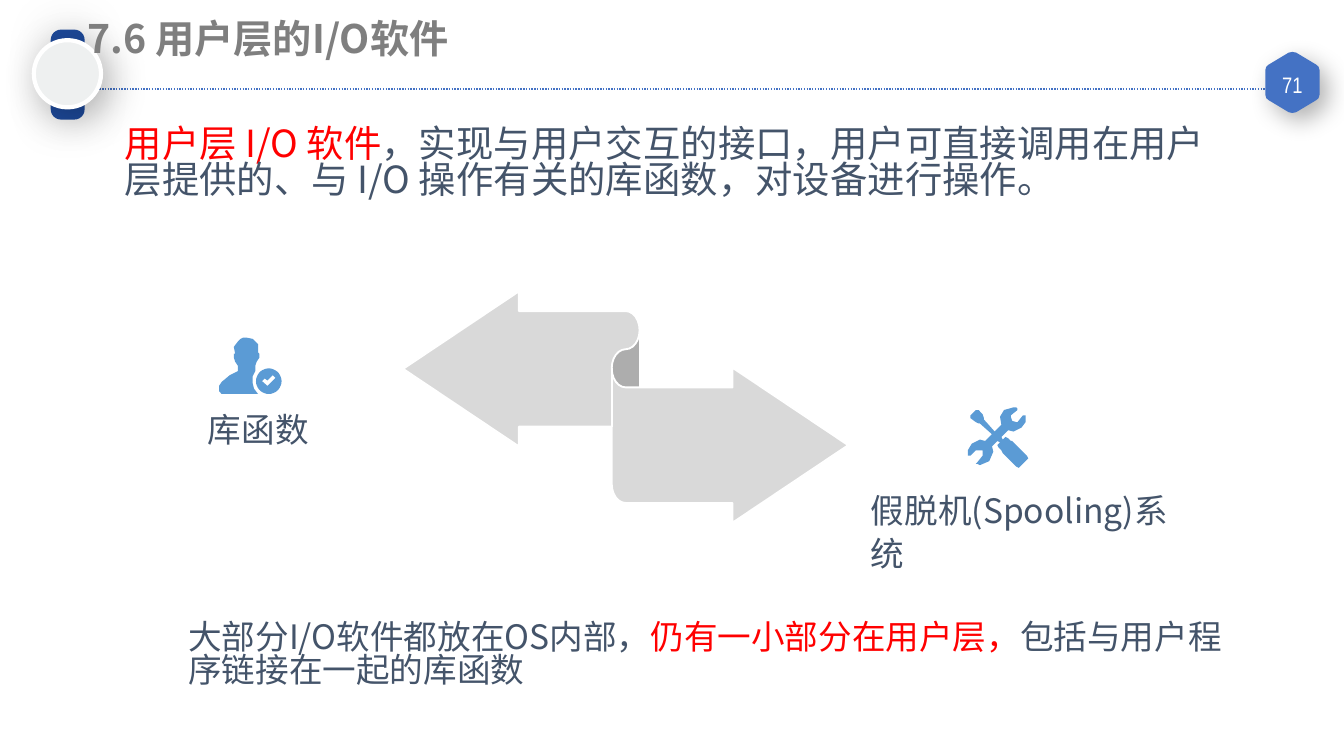
from math import cos, pi, sin

from lxml.etree import SubElement
from pptx import Presentation
from pptx.dml.color import RGBColor
from pptx.enum.dml import MSO_LINE
from pptx.enum.shapes import MSO_CONNECTOR, MSO_SHAPE
from pptx.enum.text import MSO_ANCHOR, MSO_AUTO_SIZE, PP_ALIGN
from pptx.oxml.ns import qn
from pptx.util import Cm, Pt

WHITE = RGBColor(0xFF, 0xFF, 0xFF)
BLUE = RGBColor(0x44, 0x72, 0xC4)
NAVY = RGBColor(0x1D, 0x49, 0x99)
SKY = RGBColor(0x5B, 0x9B, 0xD5)
SLATE = RGBColor(0x44, 0x54, 0x6A)
RED = RGBColor(0xFF, 0x00, 0x00)
GRAY = RGBColor(0x7F, 0x7F, 0x7F)
SILVER = RGBColor(0xD9, 0xD9, 0xD9)
PALE = RGBColor(0xEE, 0xF0, 0xF0)

BADGE = [(0, 13), (0.7, 10.7), (2, 9.5), (17, 0.5), (19.5, 0), (22, 0.5),
         (37, 9.5), (38.3, 10.7), (39, 13), (39, 31), (38.3, 33.3),
         (37, 34.5), (22, 43.5), (19.5, 44), (17, 43.5), (2, 34.5),
         (0.7, 33.3), (0, 31)]
PERSON = [(18, 0), (20, 0), (25, 1), (27, 3), (29, 5), (29, 11), (30, 12),
          (30, 15), (28, 18), (27, 21), (27, 25), (25, 29), (25, 34),
          (26, 38), (29, 42), (2, 42), (0, 40), (0, 36), (2, 33), (8, 28),
          (14, 25), (14, 21), (12, 18), (11, 15), (11, 12), (12, 12),
          (11, 7), (14, 3), (16, 1)]
DISC = [(37 + 9.5 * cos(i * pi / 18), 32.5 + 9.5 * sin(i * pi / 18))
        for i in range(36)]
TICK = [(40, 28), (36, 32), (34, 30.5), (32, 32.5), (36, 36), (42, 30)]
TOOLS = [(44, 36), (34, 26), (33, 25), (32, 25), (30, 23), (28, 22), (27, 23),
         (26, 24), (25, 22), (30, 17), (34, 18), (40, 15), (43, 11), (43, 6),
         (42, 6), (41, 6), (37, 11), (36, 11), (33, 10), (32, 7), (32, 6),
         (37, 2), (37, 1), (36, 0), (34, 0), (27, 2), (24, 7), (25, 13),
         (20, 18), (12, 9), (12, 8), (11, 5), (8, 2), (7, 2), (6, 2), (2, 6),
         (2, 8), (6, 11), (8, 12), (9, 12), (18, 20), (14, 24), (13, 25),
         (9, 24), (3, 27), (0, 32), (0, 36), (2, 36), (6, 32), (7, 32),
         (11, 32), (11, 36), (7, 41), (6, 42), (7, 42), (9, 43), (16, 40),
         (19, 33), (18, 29), (22, 25), (24, 26), (22, 28), (23, 30),
         (25, 32), (26, 34), (36, 44), (38, 45), (39, 44), (44, 39), (45, 38)]


class SlideBuilder:
    """Holds the text style and the current slide, and draws its elements."""

    font = "Noto Sans CJK SC"
    unit = Cm(2.54) / 1000

    def __init__(self, prs):
        self.s = prs.slides.add_slide(prs.slide_layouts[5])

    def paint(self, sp, fill, line=None, width=1, shadow=None):
        sp.fill.solid()
        sp.fill.fore_color.rgb = fill
        if line is None:
            sp.line.fill.background()
        else:
            sp.line.color.rgb = line
            sp.line.width = Pt(width)
        sp.shadow.inherit = False
        if shadow:
            alpha, blur, dist, angle = shadow
            effects = sp._element.spPr.find(qn("a:effectLst"))
            outer = SubElement(effects, qn("a:outerShdw"), blurRad=str(Pt(blur)),
                               dist=str(Pt(dist)), dir=str(angle * 60000))
            color = SubElement(outer, qn("a:srgbClr"), val="000000")
            SubElement(color, qn("a:alpha"), val=str(alpha * 1000))
        return sp

    def shape(self, kind, box, fill, adj=(), rotation=0, **style):
        sp = self.s.shapes.add_shape(kind, *map(Cm, box))
        for i, value in enumerate(adj):
            sp.adjustments[i] = value
        sp.rotation = rotation
        return self.paint(sp, fill, **style)

    def outline(self, left, top, contours, fill, **style):
        scaled = [[(x * 10, y * 10) for x, y in c] for c in contours]
        fb = self.s.shapes.build_freeform(*scaled[0][0], scale=self.unit)
        for i, points in enumerate(scaled):
            if i:
                fb.move_to(*points[0])
            fb.add_line_segments(points[1:], close=True)
        return self.paint(fb.convert_to_shape(Cm(left), Cm(top)), fill, **style)

    def rule(self, x1, x2, y):
        cn = self.s.shapes.add_connector(MSO_CONNECTOR.STRAIGHT, Cm(x1), Cm(y),
                                         Cm(x2), Cm(y))
        cn.line.color.rgb = BLUE
        cn.line.width = Pt(0.75)
        cn.line.dash_style = MSO_LINE.ROUND_DOT
        SubElement(cn._element.spPr, qn("a:effectLst"))

    def fill_text(self, sp, runs, size, font=None, bold=False,
                  align=PP_ALIGN.LEFT, spacing=None, **frame):
        tf, name = sp.text_frame, font or self.font
        frame = {"word_wrap": True, "auto_size": MSO_AUTO_SIZE.NONE,
                 "vertical_anchor": MSO_ANCHOR.TOP, **frame}
        for key, value in frame.items():
            setattr(tf, key, value)
        p = tf.paragraphs[0]
        p.alignment, p.line_spacing = align, spacing
        for text, color in runs:
            r = p.add_run()
            r.text = text
            r.font.color.rgb = color
            for key, value in {"name": name, "size": Pt(size), "bold": bold}.items():
                setattr(r.font, key, value)
            SubElement(r._r.rPr, qn("a:ea"), typeface=name)

    def text(self, box, runs, size, **style):
        self.fill_text(self.s.shapes.add_textbox(*map(Cm, box)), runs, size, **style)

    def title(self, box, text):
        sp = self.s.shapes.title
        sp.left, sp.top, sp.width, sp.height = map(Cm, box)
        self.fill_text(sp, [(text, GRAY)], 21, bold=True)
        sp._element.getparent().append(sp._element)


def main():
    prs = Presentation()
    prs.slide_width, prs.slide_height = Cm(25.4), Cm(14.29)
    b = SlideBuilder(prs)
    tight = {"margin_left": Cm(0.18), "margin_right": Cm(0.18),
             "margin_top": Cm(0.1), "margin_bottom": Cm(0.1)}

    b.rule(0.84, 23.95, 1.68)
    b.outline(23.93, 1, [BADGE], BLUE, line=BLUE, shadow=(30, 13, 6, 45))
    b.text((23.93, 1.27, 0.99, 0.64), [("71", WHITE)], 12, font="Arial Narrow",
           align=PP_ALIGN.CENTER, vertical_anchor=MSO_ANCHOR.MIDDLE, **tight)
    b.shape(MSO_SHAPE.ROUNDED_RECTANGLE, (0.43, 1.09, 1.7, 0.64), NAVY,
            adj=[0.3], rotation=270, shadow=(17, 27, 0, 0))
    b.shape(MSO_SHAPE.OVAL, (0.64, 0.76, 1.27, 1.27), PALE, line=WHITE,
            width=2.25, shadow=(28, 22, 6, 45))
    b.title((1.4, 0.15, 14.63, 1.14), "7.6 用户层的I/O软件")

    b.text((3.38, 11.68, 19.99, 0.81),
           [("大部分I/O软件都放在OS内部，", SLATE), ("仍有一小部分在用户层，", RED),
            ("包括与用户程序链接在一起的库函数", SLATE)], 18, spacing=0.82, **tight)
    b.outline(4.14, 6.38, [PERSON, DISC, TICK], SKY)
    b.outline(18.29, 7.7, [TOOLS], SKY)
    b.shape(MSO_SHAPE.LEFT_RIGHT_RIBBON, (7.62, 5.51, 8.41, 4.37), SILVER,
            adj=[0.5, 0.5, 0.33], line=WHITE)
    b.text((3.68, 7.7, 2.46, 0.79), [("库函数", SLATE)], 18, spacing=0.9)
    b.text((16.21, 9.09, 6.73, 1.75), [("假脱机(Spooling)系统", SLATE)], 18,
           spacing=1.07)
    b.text((2.11, 2.29, 21.18, 1.96),
           [("用户层 I/O 软件", RED),
            ("，实现与用户交互的接口，用户可直接调用在用户层提供的、与 I/O 操作有关的库函数，对设备进行操作。",
             SLATE)], 20, spacing=0.82)
    prs.save("out.pptx")


if __name__ == "__main__":
    main()
